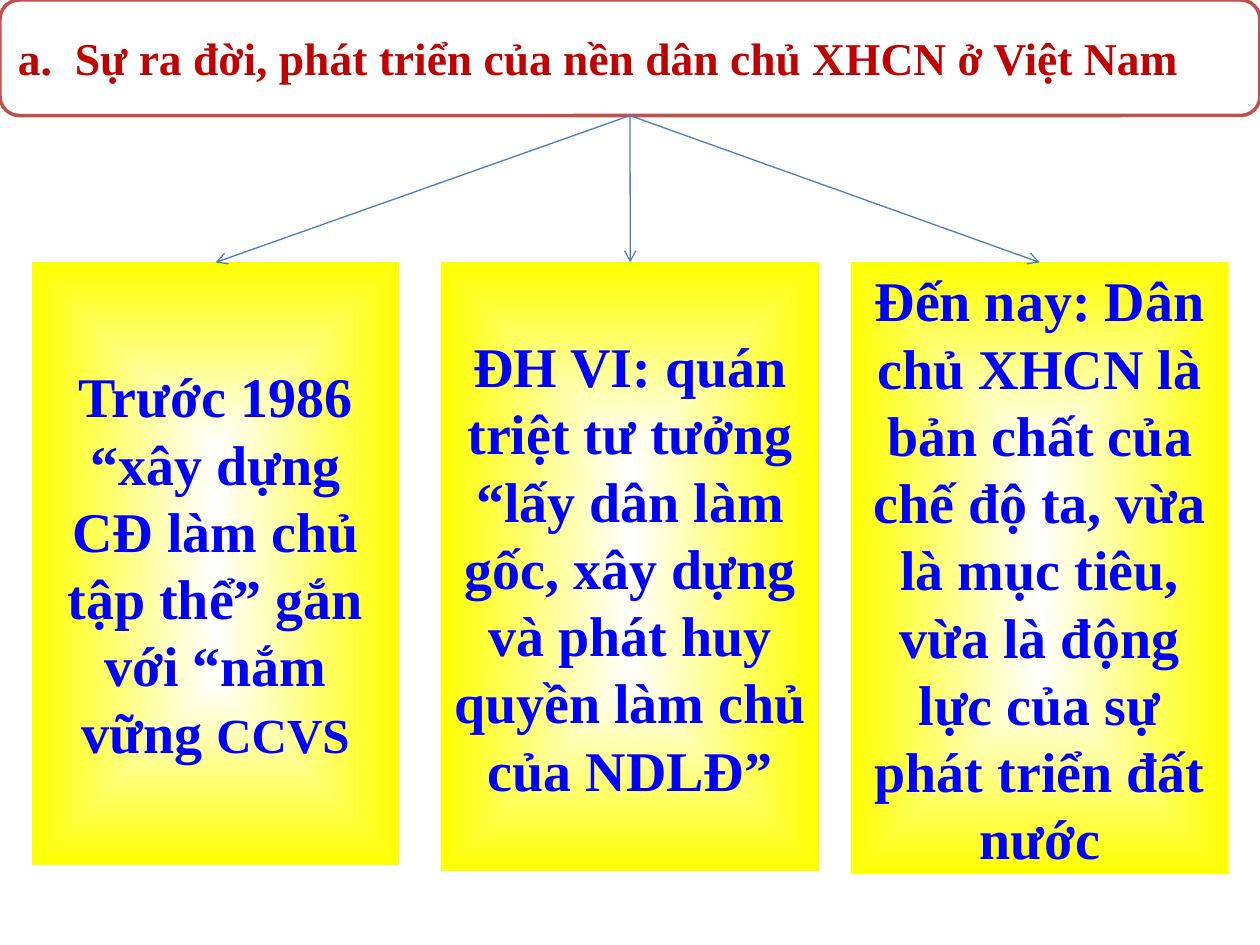
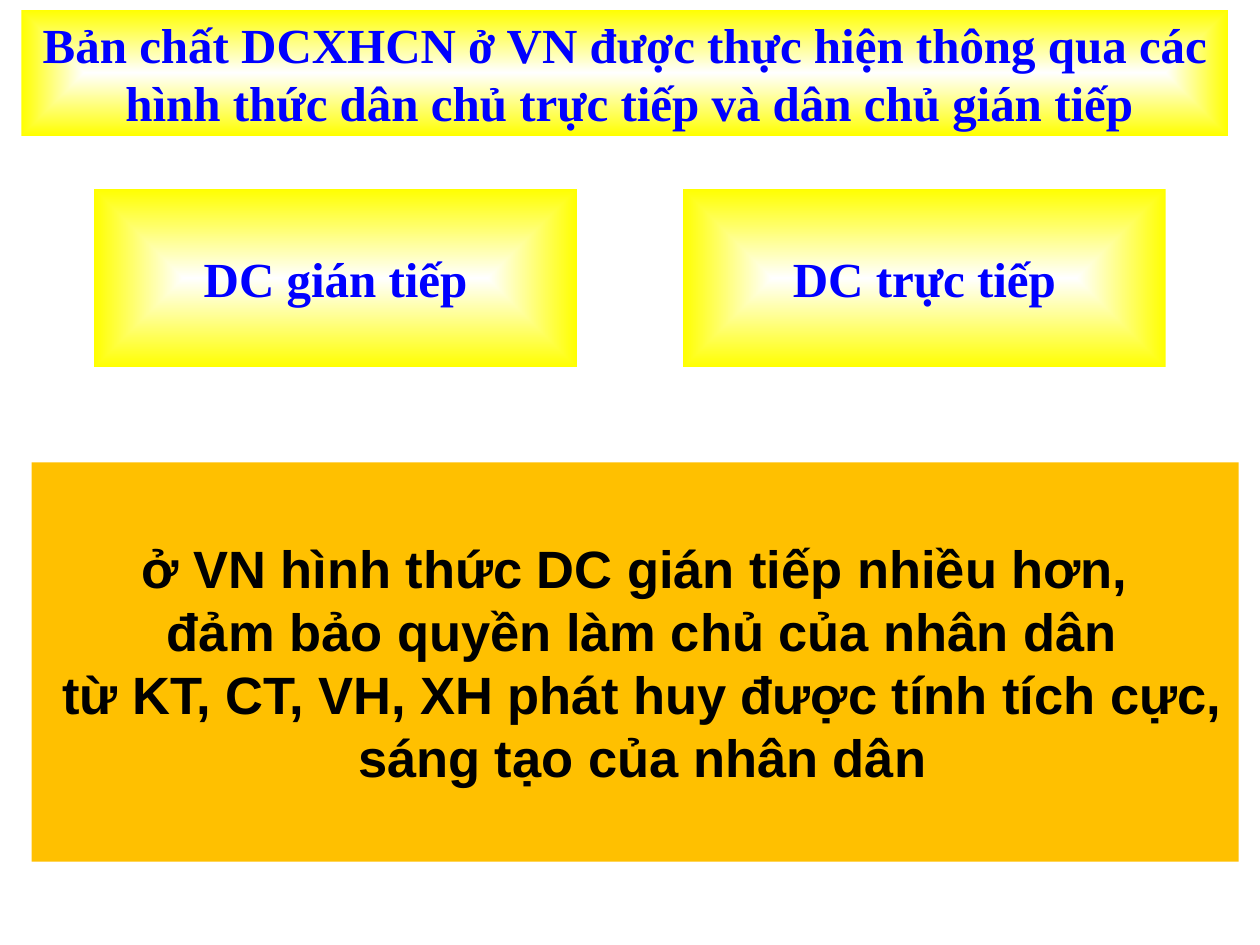
from lxml.etree import SubElement as Sub
from pptx import Presentation
from pptx.dml.color import RGBColor as Rgb
from pptx.enum.shapes import MSO_CONNECTOR as Link, MSO_SHAPE as Form
from pptx.enum.text import MSO_ANCHOR as Anchor, PP_ALIGN as Align
from pptx.oxml.ns import qn
from pptx.util import Cm, Pt

HUES = {
    "white": "FFFFFF", "yellow": "FFFF00", "blue": "0000FF", "red": "C00000",
    "rim": "C0504D", "arrow": "4B7EBC", "amber": "FFC000", "black": "000000",
}
SERIF, SANS = "Times New Roman", "Arial"


def hue(name):
    return Rgb.from_string(HUES[name])


def block(slide, area, form=Form.RECTANGLE):
    shape = slide.shapes.add_shape(form, *map(Cm, area))
    shape.shadow.inherit = False
    shape.line.fill.background()
    return shape


def paint(shape, name):
    shape.fill.solid()
    shape.fill.fore_color.rgb = hue(name)


def glow(shape):
    shape.fill.gradient()
    for stop, name, place in zip(shape.fill.gradient_stops, ("white", "yellow"), (0, 1)):
        stop.color.rgb = hue(name)
        stop.position = place
    grad = shape._element.spPr.find(qn("a:gradFill"))
    grad.remove(grad.find(qn("a:lin")))
    path = Sub(grad, qn("a:path"), path="shape")
    Sub(path, qn("a:fillToRect"), dict.fromkeys("ltrb", "50000"))


def style(run, size, color, font):
    run.font.size = Pt(size)
    run.font.name = font
    run.font.bold = True
    run.font.color.rgb = hue(color)


def write(shape, text, size, color="blue", font=SERIF, align=Align.CENTER, wrap=True):
    frame = shape.text_frame
    frame.text = text
    frame.word_wrap = wrap
    frame.vertical_anchor = Anchor.MIDDLE
    for para in frame.paragraphs:
        para.alignment = align
        for run in para.runs:
            style(run, size, color, font)


def panel(slide, area, text, size):
    shape = block(slide, area)
    glow(shape)
    write(shape, text, size)
    return shape


def hang(shape):
    for para in shape.text_frame.paragraphs:
        props = para._p.get_or_add_pPr()
        props.set("marL", str(Cm(0.18)))
        props.set("indent", str(-Cm(0.18)))


def arrow(slide, start, end):
    line = slide.shapes.add_connector(Link.STRAIGHT, 0, 0, 0, 0)
    line.begin_connect(start, 2)
    line.end_connect(end, 0)
    line.line.color.rgb = hue("arrow")
    line.line.width = Pt(0.75)
    Sub(line.line._get_or_add_ln(), qn("a:tailEnd"), type="arrow")
    Sub(line._element.spPr, qn("a:effectLst"))


def stages(slide):
    head = block(slide, (0, 0, 25.4, 2.33), Form.ROUNDED_RECTANGLE)
    paint(head, "white")
    head.line.color.rgb = hue("rim")
    head.line.width = Pt(2)
    write(head, "a.  Sự ra đời, phát triển của nền dân chủ XHCN ở Việt Nam",
          26, "red", align=Align.JUSTIFY)

    steps = [
        (7.41, 12.14, "Trước 1986\n“xây dựng CĐ làm chủ tập thể” gắn với “nắm vững "),
        (7.62, 12.28, "ĐH VI: quán triệt tư tưởng “lấy dân làm gốc, xây dựng "
                      "và phát huy quyền làm chủ của NDLĐ”"),
        (7.62, 12.34, "Đến nay: Dân chủ XHCN là bản chất của chế độ ta, vừa là "
                      "mục tiêu, vừa là động lực của sự phát triển đất nước"),
    ]
    boxes = [panel(slide, (0.64 + 8.255 * i, 5.29, wide, high), text, 32)
             for i, (wide, high, text) in enumerate(steps)]
    tail = boxes[0].text_frame.paragraphs[-1].add_run()
    tail.text = "CCVS"
    style(tail, 28, "blue", SERIF)
    for box in boxes:
        arrow(slide, head, box)


def forms(slide):
    panels = [
        ((0.43, 0.2, 24.33, 2.54), "Bản chất DCXHCN ở VN được thực hiện thông qua "
         "các hình thức dân chủ trực tiếp và dân chủ gián tiếp"),
        ((13.77, 3.81, 9.73, 3.6), "DC trực tiếp"),
        ((1.9, 3.81, 9.73, 3.6), "DC gián tiếp"),
    ]
    for area, text in panels:
        hang(panel(slide, area, text, 28))

    note = block(slide, (0.64, 9.32, 24.33, 8.05))
    paint(note, "amber")
    write(note, "ở VN hình thức DC gián tiếp nhiều hơn,\n"
          " đảm bảo quyền làm chủ của nhân dân\n"
          " từ KT, CT, VH, XH phát huy được tính tích cực,\n"
          " sáng tạo của nhân dân", 30, "black", SANS, wrap=False)


def main():
    deck = Presentation()
    deck.slide_width, deck.slide_height = Cm(25.4), Cm(19.05)
    for build in (stages, forms):
        build(deck.slides.add_slide(deck.slide_layouts[6]))
    deck.save("out.pptx")


if __name__ == "__main__":
    main()
